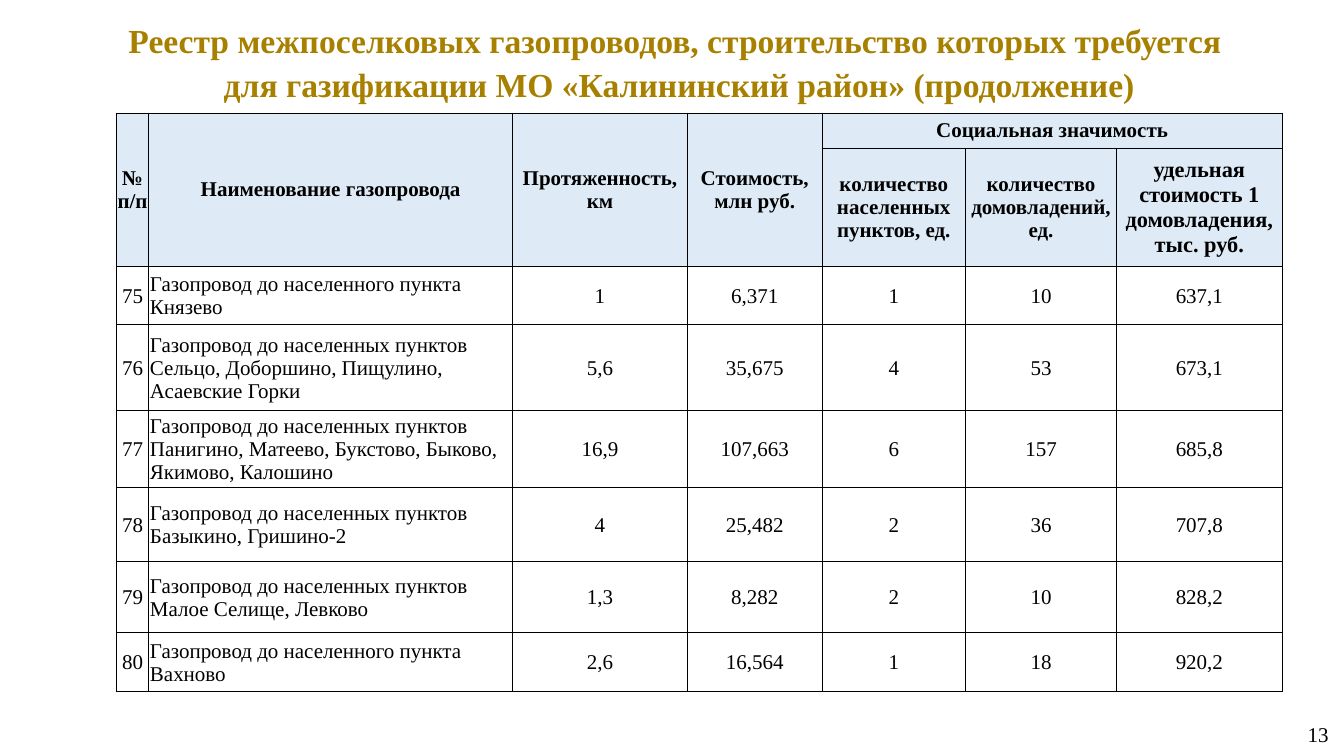
import pptx
import pptx.util
import pptx.dml.color
import pptx.enum.text
from lxml import etree

TITLE = ["Реестр межпоселковых газопроводов, строительство которых требуется ",
         "для газификации МО «Калининский район» (продолжение)"]
PAGE = "13"
MAIN_HEADS = ["№\vп/п", "Наименование газопровода", "Протяженность, км",
              "Стоимость, млн руб."]
GROUP_HEAD = "Социальная значимость"
SUB_HEADS = ["количество населенных пунктов, ед.",
             "количество\nдомовладений, ед.",
             "удельная стоимость 1 домовладения, тыс. руб."]
PIPELINES = [
    ("75", "Газопровод до населенного пункта Князево", "1", "6,371", "1", "10", "637,1"),
    ("76", "Газопровод до населенных пунктов Сельцо, Доборшино, Пищулино, Асаевские Горки",
     "5,6", "35,675", "4", "53", "673,1"),
    ("77", "Газопровод до населенных пунктов Панигино, Матеево, Букстово, Быково, Якимово, Калошино",
     "16,9", "107,663", "6", "157", "685,8"),
    ("78", "Газопровод до населенных пунктов Базыкино, Гришино-2",
     "4", "25,482", "2", "36", "707,8"),
    ("79", "Газопровод до населенных пунктов Малое Селище, Левково",
     "1,3", "8,282", "2", "10", "828,2"),
    ("80", "Газопровод до населенного пункта Вахново", "2,6", "16,564", "1", "18", "920,2"),
]
COL_WIDTHS = [0.82, 9.17, 4.4, 3.4, 3.61, 3.81, 4.17]
ROW_HEIGHTS = [0.88, 2.97, 1.47, 2.16, 1.94, 1.86, 1.8, 1.48]
COLORS = {"title": "A88000", "text": "000000", "head": "DEEBF7", "border": "000000"}
FONT = "Times New Roman"

Cm = pptx.util.Cm
Pt = pptx.util.Pt
RGB = pptx.dml.color.RGBColor.from_string
ALIGN = pptx.enum.text.PP_ALIGN
MIDDLE = pptx.enum.text.MSO_ANCHOR.MIDDLE


def write(tf, text, size=15, color="text", bold=False, align=ALIGN.CENTER, spacing=None):
    tf.word_wrap = True
    tf.text = text
    for p in tf.paragraphs:
        p.alignment = align
        if spacing:
            p.line_spacing = spacing
        for r in p.runs:
            r.font.name = FONT
            r.font.size = Pt(size)
            r.font.bold = bold
            r.font.color.rgb = RGB(COLORS[color])


def add_borders(cell):
    tc_pr = cell._tc.get_or_add_tcPr()
    ns = pptx.oxml.ns.qn
    for i, side in enumerate(["a:lnL", "a:lnR", "a:lnT", "a:lnB"]):
        ln = etree.Element(ns(side), w=str(Pt(0.96)))
        fill = etree.SubElement(ln, ns("a:solidFill"))
        etree.SubElement(fill, ns("a:srgbClr"), val=COLORS["border"])
        tc_pr.insert(i, ln)


def format_cell(cell, is_head):
    cell.vertical_anchor = MIDDLE
    cell.margin_left = cell.margin_right = Cm(0.03)
    cell.margin_top = Cm(0.13 if is_head else 0.03)
    cell.margin_bottom = Cm(0.13 if is_head else 0)
    if is_head:
        cell.fill.solid()
        cell.fill.fore_color.rgb = RGB(COLORS["head"])
    else:
        cell.fill.background()
    add_borders(cell)


def add_registry(s):
    frame = s.shapes.add_table(len(ROW_HEIGHTS), len(COL_WIDTHS), Cm(2.93), Cm(2.85),
                               Cm(sum(COL_WIDTHS)), Cm(sum(ROW_HEIGHTS)))
    table = frame.table
    table.first_row = table.horz_banding = False
    for col, width in zip(table.columns, COL_WIDTHS):
        col.width = Cm(width)
    for row, height in zip(table.rows, ROW_HEIGHTS):
        row.height = Cm(height)
    for i, row in enumerate(table.rows):
        for cell in row.cells:
            format_cell(cell, i < 2)

    first_sub = len(MAIN_HEADS)
    for j, head in enumerate(MAIN_HEADS):
        table.cell(0, j).merge(table.cell(1, j))
        write(table.cell(0, j).text_frame, head, bold=True)
    table.cell(0, first_sub).merge(table.cell(0, len(COL_WIDTHS) - 1))
    write(table.cell(0, first_sub).text_frame, GROUP_HEAD, bold=True)
    for j, head in enumerate(SUB_HEADS):
        size = 16 if j == len(SUB_HEADS) - 1 else 15
        write(table.cell(1, first_sub + j).text_frame, head, size=size, bold=True)
    for i, pipeline in enumerate(PIPELINES, 2):
        for j, value in enumerate(pipeline):
            align = ALIGN.LEFT if j == 1 else ALIGN.CENTER
            write(table.cell(i, j).text_frame, value, align=align)


def main():
    prs = pptx.Presentation()
    prs.slide_width, prs.slide_height = Cm(33.87), Cm(19.05)
    s = prs.slides.add_slide(prs.slide_layouts[6])

    page = s.shapes.add_textbox(Cm(26.85), Cm(17.73), Cm(6.88), Cm(1.55))
    write(page.text_frame, PAGE, align=ALIGN.RIGHT)
    page.text_frame.vertical_anchor = MIDDLE

    title = s.shapes.add_textbox(Cm(2.18), Cm(0.28), Cm(29.87), Cm(2.29))
    write(title.text_frame, "\n".join(TITLE), size=24, color="title", bold=True, spacing=1.1)

    add_registry(s)
    prs.save("out.pptx")


if __name__ == "__main__":
    main()
